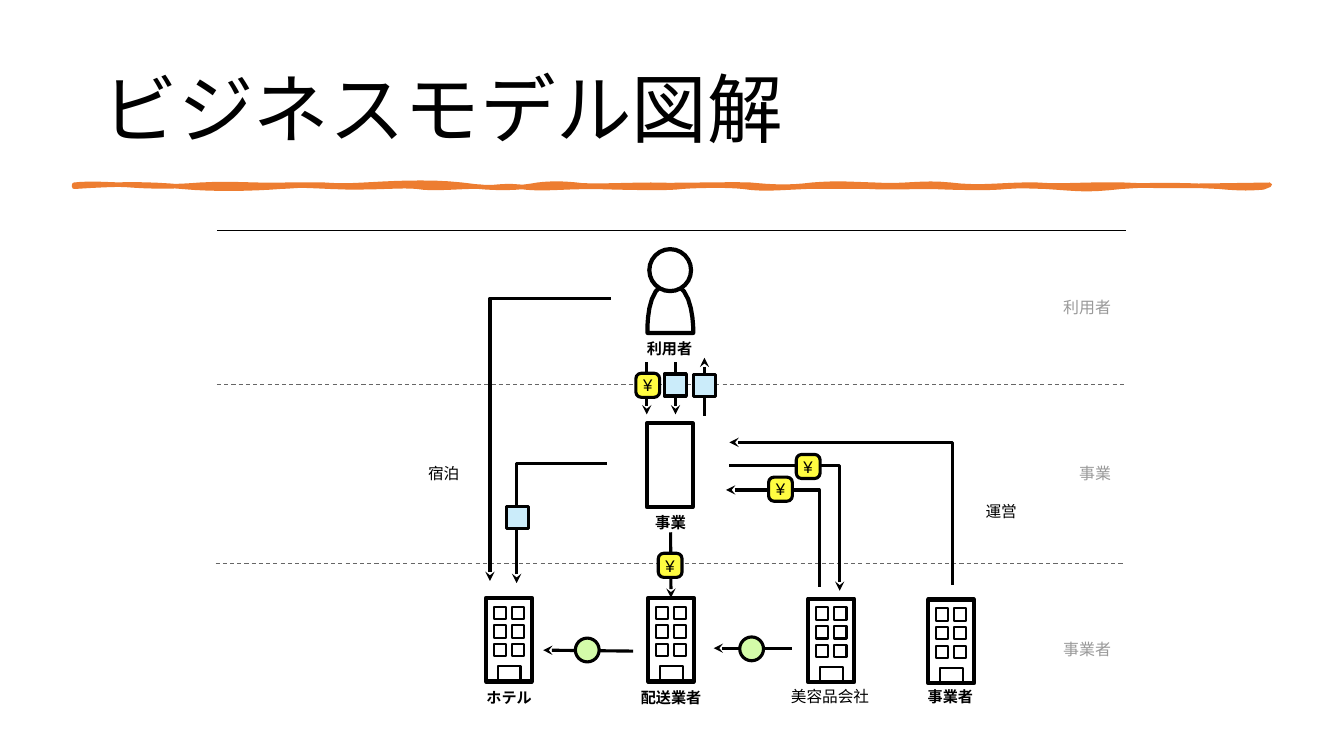
from lxml import etree
from pptx import Presentation
from pptx.dml.color import RGBColor
from pptx.enum import dml, shapes, text
from pptx.oxml import ns
from pptx.util import Pt

BLACK = RGBColor(0x00, 0x00, 0x00)
WHITE = RGBColor(0xFF, 0xFF, 0xFF)
GRAY = RGBColor(0x99, 0x99, 0x99)
DASH_GRAY = RGBColor(0x66, 0x66, 0x66)
ORANGE = RGBColor(0xED, 0x7D, 0x31)
YELLOW = RGBColor(0xFF, 0xFC, 0x41)
SKY = RGBColor(0xCB, 0xEC, 0xFA)
GREEN = RGBColor(0xD4, 0xFC, 0xA9)

KIND = shapes.MSO_SHAPE
LEFT, CENTER, RIGHT = text.PP_ALIGN.LEFT, text.PP_ALIGN.CENTER, text.PP_ALIGN.RIGHT

deck = Presentation()
deck.slide_width, deck.slide_height = Pt(960), Pt(540)
slide = deck.slides.add_slide(deck.slide_layouts[6])
canvas = slide.shapes


def bezier(start, control1, control2, end, steps=8):
    """Points along a cubic curve, without its start."""
    points = []
    for step in range(1, steps + 1):
        t = step / steps
        weights = ((1 - t) ** 3, 3 * t * (1 - t) ** 2, 3 * t * t * (1 - t), t ** 3)
        corners = (start, control1, control2, end)
        points.append(tuple(Pt(sum(w * c[axis] for w, c in zip(weights, corners)))
                            for axis in (0, 1)))
    return points


def paint(item, fill=None, line=BLACK, width=2.25, arrow=False):
    """Set fill and outline, drop the shadow, put an arrowhead at the start."""
    item.line.color.rgb = line
    item.line.width = Pt(width)
    if hasattr(item, "fill"):
        item.shadow.inherit = False
        if fill is None:
            item.fill.background()
        else:
            item.fill.solid()
            item.fill.fore_color.rgb = fill
    else:
        etree.SubElement(item._element.spPr, ns.qn("a:effectLst"))
    if arrow:
        etree.SubElement(item.line._get_or_add_ln(), ns.qn("a:headEnd"), type="stealth")
    return item


# Hand-drawn rule: control x, offset, control x, offset, end x
top_edge = [
    (64, -1.4, 80, 0, 89), (98, .7, 117, 2.2, 143), (168, -1.4, 181, .7, 204),
    (228, 0, 221, 0, 232), (243, .7, 246, .7, 260), (274, -.7, 305, -2.9, 330),
    (356, 3.6, 372, 2.2, 384), (395, -1.4, 405, -.7, 412), (418, 1.4, 450, 0, 465),
    (480, .7, 521, -.7, 536), (551, 1.4, 563, 2.2, 580), (598, -1.4, 603, -.7, 625),
    (647, 1.4, 658, -2.2, 679), (700, 2.9, 721, -.7, 741), (760, 1.4, 776, -.7, 803),
    (829, 1.4, 863, .7, 907)]
bottom_edge = [
    (894, 1.4, 886, 1.4, 871), (857, -.7, 827, -2.2, 801), (774, 2.9, 770, 1.4, 747),
    (724, -.7, 733, -.7, 719), (706, 1.4, 683, .7, 666), (649, 0, 636, .7, 621),
    (606, 0, 596, 0, 576), (557, .7, 545, 2.2, 531), (518, -1.4, 495, -.7, 487),
    (477, 1.4, 449, .7, 425), (400, 0, 387, 2.2, 371), (356, -1.4, 354, 1.4, 343),
    (333, -.7, 310, 2.2, 298), (287, -1.4, 267, 1.4, 236), (206, -1.4, 218, -.7, 200),
    (182, 1.4, 153, 2.2, 130), (106, -2.2, 85, -2.2, 53)]
rule_points, x = [], 53
for y, edge in ((132, top_edge), (133.4, bottom_edge)):
    for x1, dy1, x2, dy2, end_x in edge:
        rule_points += bezier((x, y), (x1, y + dy1), (x2, y + dy2), (end_x, y))
        x = end_x
rule = canvas.build_freeform(Pt(53), Pt(132), scale=1.0)
rule.add_line_segments(rule_points, close=True)
paint(rule.convert_to_shape(), ORANGE, ORANGE, 3.25)

# Lane borders
for left, y, color, dash in ((155, 165, BLACK, None),
                             (155, 274.5, DASH_GRAY, dml.MSO_LINE.DASH),
                             (154, 402.5, DASH_GRAY, dml.MSO_LINE.DASH)):
    border = canvas.add_connector(shapes.MSO_CONNECTOR.STRAIGHT,
                                  Pt(left), Pt(y), Pt(left + 649.5), Pt(y))
    paint(border, line=color, width=0.75).line.dash_style = dash

# User
body = canvas.build_freeform(Pt(462.5), Pt(237.8), scale=1.0)
body.add_line_segments(
    [(Pt(495.2), Pt(237.8))]
    + bezier((495.2, 237.8), (495.2, 237.8), (496.2, 202.5), (478.4, 202.5))
    + bezier((478.4, 202.5), (460.8, 202.5), (462.5, 237.8), (462.5, 237.8)), close=True)
paint(body.convert_to_shape(), WHITE, width=3)
paint(canvas.add_shape(KIND.OVAL, Pt(463.8), Pt(178), Pt(29.8), Pt(30)), WHITE, width=3)

# Business
paint(canvas.add_shape(KIND.RECTANGLE, Pt(462.2), Pt(302.4), Pt(32.6), Pt(59.8)), width=3)

# Company buildings: frame, 2 x 3 windows, door
frames = {}
for company, left, top in (("ホテル", 347.2, 427), ("配送業者", 463, 427),
                           ("美容品会社", 577.4, 427.6), ("事業者", 663.1, 428.3)):
    parts = [(0, 0, 32.6, 59.8, WHITE, 3)]
    parts += [(5.5 + 13 * col, 6.3 + 13.4 * row, 8.8, 8.8, WHITE, 1.5)
              for row in range(3) for col in range(2)]
    parts.append((8.2, 49, 16.4, 10.8, None, 1.5))
    building = canvas.add_group_shape()
    pieces = [paint(building.shapes.add_shape(KIND.RECTANGLE, Pt(left + dx), Pt(top + dy),
                                              Pt(w), Pt(h)), fill, width=line)
              for dx, dy, w, h, fill, line in parts]
    frames[company] = pieces[0]

# Labels: text, left, top, width, height, size, colour, bold, alignment
labels = [
    ("ビジネスモデル図解", 66.2, 28.8, 828, 104.4, 54, BLACK, False, LEFT),
    ("利用者", 430, 241.4, 96.5, 14.4, 10.8, BLACK, True, CENTER),
    ("事業", 448, 365.8, 62, 14.4, 11, BLACK, True, CENTER),
    ("ホテル", 309, 491, 109.4, 14.4, 10.8, BLACK, True, CENTER),
    ("配送業者", 424.6, 491, 109.4, 14.4, 10.8, BLACK, True, CENTER),
    ("事業者", 624.2, 490.3, 109.4, 14.4, 10.8, BLACK, True, CENTER),
    ("美容品会社", 563, 486.7, 125.3, 21.6, 11.2, BLACK, False, LEFT),
    ("宿泊", 303.8, 313.2, 100.8, 50.4, 11.2, BLACK, False, LEFT),
    ("運営", 702, 339.8, 100.8, 50.4, 11.2, BLACK, False, LEFT),
    ("利用者", 740.9, 213.1, 54.7, 13, 11.4, GRAY, False, RIGHT),
    ("事業", 740.9, 331.2, 54.7, 13, 11.4, GRAY, False, RIGHT),
    ("事業者", 740.9, 457.2, 54.7, 13, 11.4, GRAY, False, RIGHT)]
captions = []
for wording, left, top, width, height, *style in labels:
    box = canvas.add_textbox(Pt(left), Pt(top), Pt(width), Pt(height))
    captions.append((box, wording, *style))
title, business_label = captions[0][0], captions[2][0]

# Bent arrows, from the tip
for (tip_x, tip_y), *bends in (
        [(350, 415), (350, 213), (436.5, 213)],
        [(369, 416.5), (369, 331), (433.5, 331)],
        [(518.6, 350), (585.2, 350), (585.2, 419)],
        [(521, 316), (680.5, 316), (680.5, 417.6)],
        [(599.8, 422), (599.8, 332.5), (521, 332.5)]):
    route = canvas.build_freeform(Pt(tip_x), Pt(tip_y), scale=1.0)
    route.add_line_segments([(Pt(x), Pt(y)) for x, y in bends], close=False)
    paint(route.convert_to_shape(), arrow=True)

# Straight arrows, from the tip
for tip_x, tip_y, x, y in ((388, 464.4, 452.2, 465.1), (509.8, 463, 566, 463),
                           (503.2, 255.6, 503.2, 297.4), (482.5, 296, 482.5, 258.5),
                           (462, 296, 462, 258.5), (479.3, 427, 479, 380.2)):
    arrow = canvas.add_connector(shapes.MSO_CONNECTOR.STRAIGHT,
                                 Pt(tip_x), Pt(tip_y), Pt(x), Pt(y))
    paint(arrow, arrow=True)
arrow.begin_connect(frames["配送業者"], 0)
arrow.end_connect(business_label, 2)

# Goods and services on the arrows
for kind, fill, size, places in (
        (KIND.OVAL, GREEN, 17, ((411, 455.8), (528.4, 455))),
        (KIND.RECTANGLE, SKY, 15.8, ((495.4, 267.6), (474.5, 267.1), (361.6, 361.8)))):
    for left, top in places:
        paint(canvas.add_shape(kind, Pt(left), Pt(top), Pt(size), Pt(size)), fill)

# Payments on the arrows
for left, top in ((549, 340.8), (568.8, 324.6), (470.2, 395.2), (454.2, 266.6)):
    coin = canvas.add_shape(KIND.ROUNDED_RECTANGLE, Pt(left), Pt(top), Pt(17), Pt(17.2))
    coin.adjustments[0] = 0.23
    captions.append((paint(coin, YELLOW), "¥", 12, BLACK, False, CENTER))

# Wording
for holder, wording, size, color, bold, align in captions:
    frame = holder.text_frame
    margins = (7.2, 3.6) if holder is title else (2, 2)
    for key, value in {"word_wrap": True, "vertical_anchor": text.MSO_ANCHOR.MIDDLE,
                       "margin_left": Pt(margins[0]), "margin_right": Pt(margins[0]),
                       "margin_top": Pt(margins[1]), "margin_bottom": Pt(margins[1])}.items():
        setattr(frame, key, value)
    line = frame.paragraphs[0]
    line.alignment = align
    run = line.add_run()
    run.text = wording
    for key, value in {"name": "Calibri" if holder is title else "Arial",
                       "size": Pt(size), "bold": bold}.items():
        setattr(run.font, key, value)
    run.font.color.rgb = color
title.text_frame.paragraphs[0].line_spacing = 0.9

deck.save("out.pptx")
